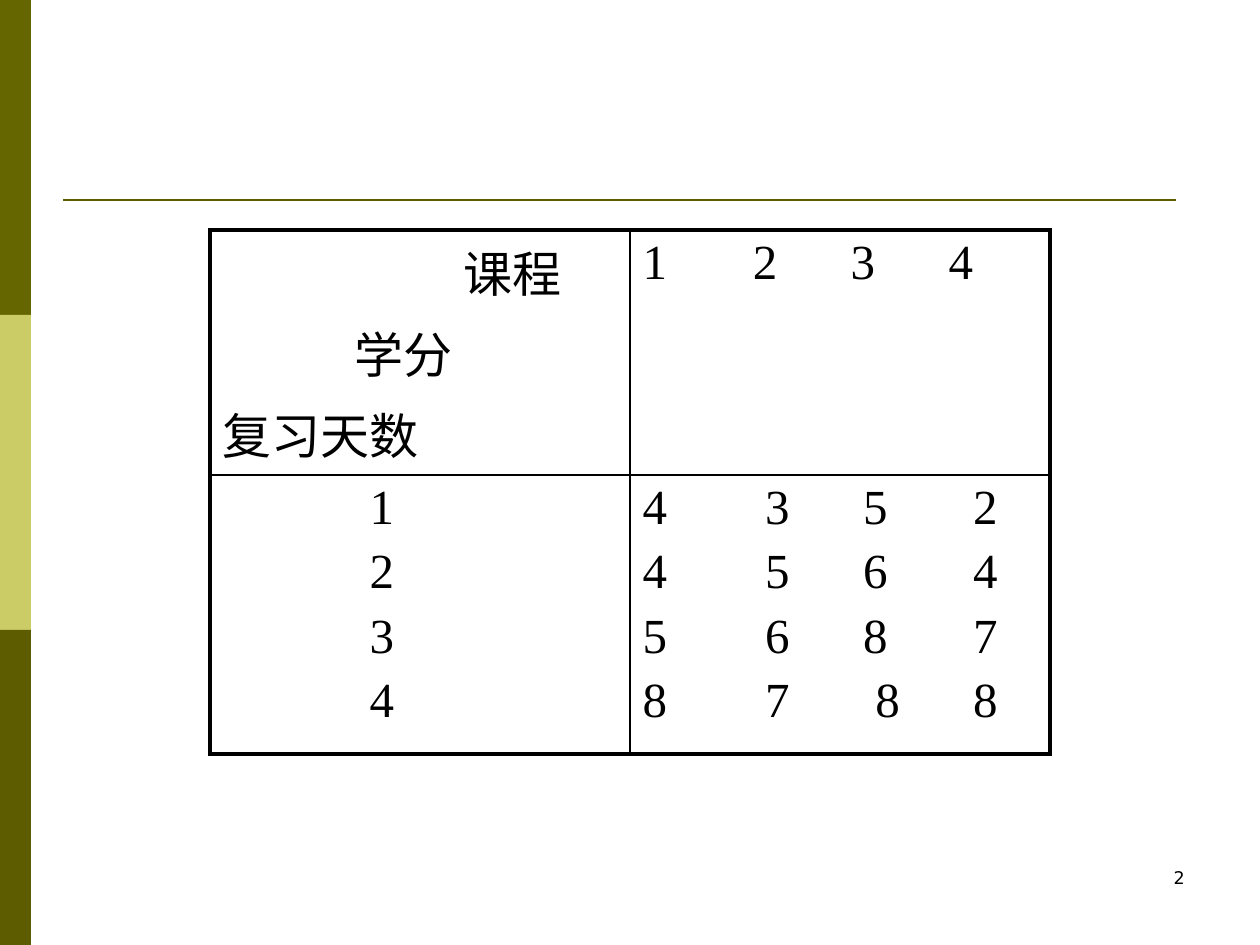
from pptx import Presentation
from pptx import util as u
from pptx.dml.color import RGBColor
from pptx.enum import shapes, text
from pptx.oxml import parse_xml
from pptx.oxml.ns import nsdecls

PX = 914400 // 126


def hue(code):
    return RGBColor.from_string(code)


def write(para, words, size, font, track=0):
    run = para.add_run()
    run.text = words
    run.font.size = u.Pt(size)
    run.font.name = font
    run.font.color.rgb = hue("000000")
    if track:
        run._r.get_or_add_rPr().set("spc", str(track * 100))


deck = Presentation()
deck.slide_width = 1260 * PX
deck.slide_height = 945 * PX
page = deck.slides.add_slide(deck.slide_layouts[6])

for i, tint in enumerate(["666600", "CCCC66", "5E5C00"]):
    bar = page.shapes.add_shape(shapes.MSO_SHAPE.RECTANGLE, 0, i * 315 * PX, 31 * PX, 315 * PX)
    bar.shadow.inherit = False
    bar.fill.solid()
    bar.fill.fore_color.rgb = hue(tint)
    bar.line.fill.background()

rule = page.shapes.add_connector(shapes.MSO_CONNECTOR.STRAIGHT, 63 * PX, 200 * PX, 1176 * PX, 200 * PX)
rule.line.color.rgb = hue("5E5C00")
rule.line.width = u.Pt(1.5)
rule._element.spPr.append(parse_xml(f"<a:effectLst {nsdecls('a')}/>"))

foot = page.shapes.add_textbox(903 * PX, 861 * PX, 294 * PX, 63 * PX).text_frame
foot.word_wrap = True
foot.paragraphs[0].alignment = text.PP_ALIGN.RIGHT
write(foot.paragraphs[0], "2", 10, "DejaVu Sans")

frame = page.shapes.add_table(2, 2, 210 * PX, 230 * PX, 840 * PX, 524 * PX)
grid = frame.table
grid.first_row = grid.horz_banding = False
for col in grid.columns:
    col.width = 420 * PX
for row, high in zip(grid.rows, [245, 279]):
    row.height = high * PX

head, body, last = [42, 35, 35], [49, 35, 42], [49, 42, 35]
cells = {
    (0, 0): [(["课程"], 241, []), (["学分"], 132, []), (["复习天数"], 0, [])],
    (0, 1): [("1234", 0, head)],
    (1, 0): [(str(day), 147, []) for day in range(1, 5)],
    (1, 1): [("4352", 0, body), ("4564", 0, body), ("5687", 0, body), ("8788", 0, last)],
}
for (r, c), lines in cells.items():
    cell = grid.cell(r, c)
    cell.fill.background()
    box = cell.text_frame
    for i, (words, left, gaps) in enumerate(lines):
        para = box.add_paragraph() if i else box.paragraphs[0]
        para.space_before = u.Pt(5.6)
        for j, word in enumerate(words):
            if j:
                write(para, " ", 28, "Times New Roman", gaps[j - 1])
            write(para, word, 28, "Times New Roman")
        props = para._p.get_or_add_pPr()
        props.set("marL", str(left * PX))
        props.set("indent", "0")
    outer = {"L": c == 0, "R": c == 1, "T": r == 0, "B": r == 1}
    for i, (side, edge) in enumerate(outer.items()):
        wide = u.Pt(2.25 if edge else 1)
        cell._tc.get_or_add_tcPr().insert(i, parse_xml(
            f'<a:ln{side} {nsdecls("a")} w="{wide}"><a:solidFill>'
            f'<a:srgbClr val="000000"/></a:solidFill></a:ln{side}>'))

deck.save("out.pptx")
